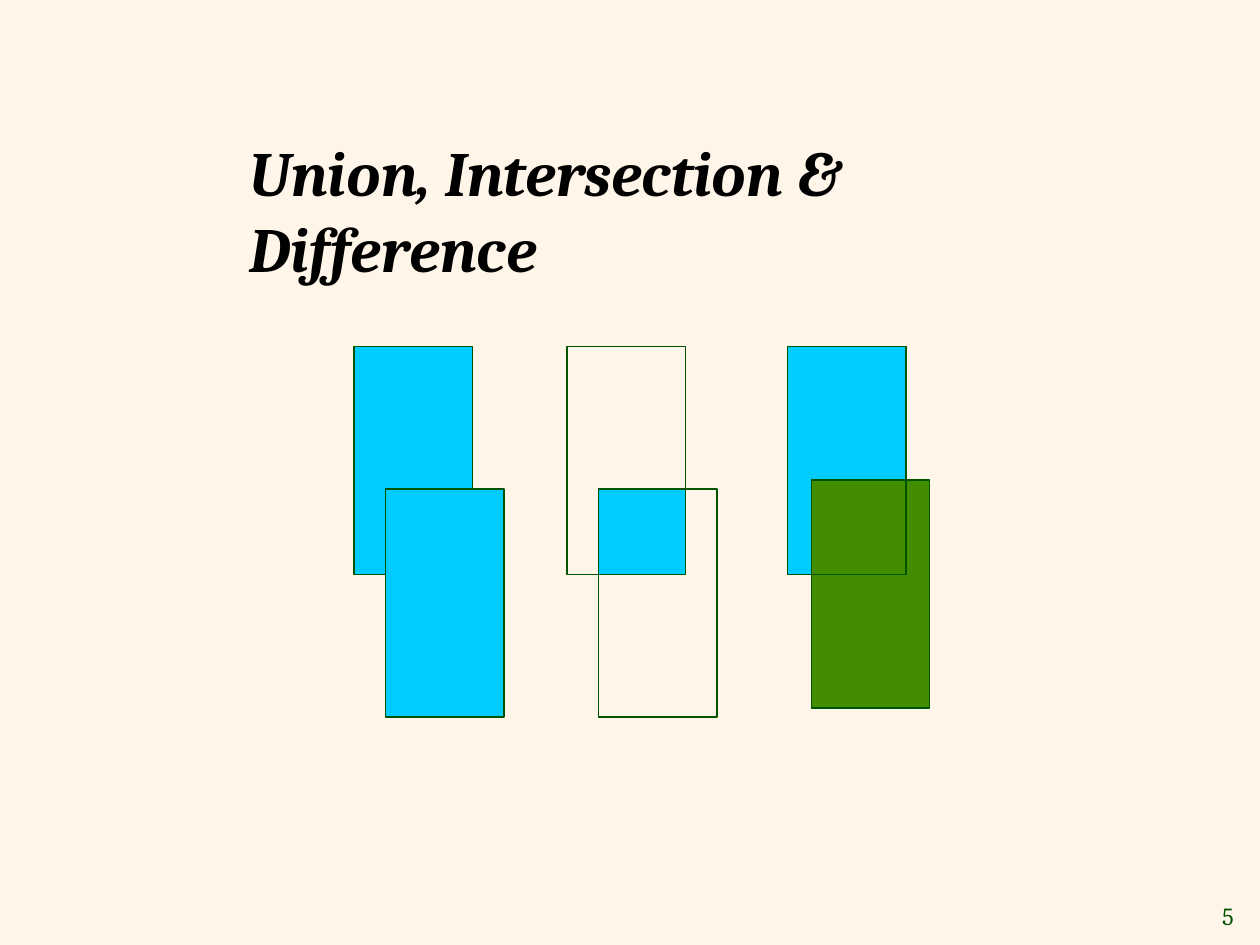
from dataclasses import dataclass

from pptx import Presentation
from pptx.dml.color import RGBColor
from pptx.enum.shapes import MSO_SHAPE
from pptx.enum.text import MSO_ANCHOR, PP_ALIGN
from pptx.util import Inches, Pt

RECTANGLE = MSO_SHAPE.RECTANGLE
MIDDLE = MSO_ANCHOR.MIDDLE
LEFT, RIGHT = PP_ALIGN.LEFT, PP_ALIGN.RIGHT
TITLE_ONLY = 5


@dataclass(frozen=True)
class Theme:
    """Colours, font and sizes of the slide."""
    background: RGBColor = RGBColor.from_string("FFF6E9")
    title: RGBColor = RGBColor.from_string("000000")
    outline: RGBColor = RGBColor.from_string("005400")
    result: RGBColor = RGBColor.from_string("00CCFF")
    removed: RGBColor = RGBColor.from_string("438E00")
    font: str = "Cambria"
    title_size: Pt = Pt(36)
    number_size: Pt = Pt(14)
    line_width: Pt = Pt(0.75)


THEME = Theme()


def write_text(shape, text, size, color, align, bold=False):
    """Write one paragraph, middle anchored; bold text is also italic."""
    frame = shape.text_frame
    frame.vertical_anchor = MIDDLE
    frame.text = text
    para = frame.paragraphs[0]
    para.alignment = align
    para.font.name = THEME.font
    para.font.size = size
    para.font.bold = para.font.italic = bold
    para.font.color.rgb = color
    return frame


def add_title(page, left, top, width, height):
    """Place and format the title placeholder."""
    title = page.shapes.title
    title.left, title.top = Inches(left), Inches(top)
    title.width, title.height = Inches(width), Inches(height)
    frame = write_text(title, "Union, Intersection & Difference",
                       THEME.title_size, THEME.title, LEFT, bold=True)
    frame.word_wrap = True


def add_page_number(page, left, top, width, height):
    """Add the slide number in the corner."""
    box = page.shapes.add_textbox(Inches(left), Inches(top), Inches(width), Inches(height))
    frame = write_text(box, "5", THEME.number_size, THEME.outline, RIGHT)
    frame.word_wrap = False


def add_rectangle(page, left, top, width, height, fill=None):
    """Add an outlined rectangle, hollow when no fill is given."""
    box = page.shapes.add_shape(RECTANGLE, Inches(left), Inches(top),
                                Inches(width), Inches(height))
    box.shadow.inherit = False
    if fill is None:
        box.fill.background()
    else:
        box.fill.solid()
        box.fill.fore_color.rgb = fill
    box.line.color.rgb = THEME.outline
    box.line.width = THEME.line_width


def add_set_pair(page, left, top, width, height, shift, first=None, second=None):
    """Add two overlapping sets and return the box of their overlap."""
    across, down = shift
    add_rectangle(page, left, top, width, height, first)
    add_rectangle(page, left + across, top + down, width, height, second)
    return left + across, top + down, width - across, height - down


def add_set_diagrams(page, top, width, height):
    """Draw union, intersection and difference from left to right."""
    shift = (0.25, 1.13)
    add_set_pair(page, 2.81, top, width, height, shift, THEME.result, THEME.result)
    overlap = add_set_pair(page, 4.5, top, width, height, shift)
    add_rectangle(page, *overlap, THEME.result)
    overlap = add_set_pair(page, 6.25, top, width, height, (0.19, 1.06),
                           THEME.result, THEME.removed)
    add_rectangle(page, *overlap)


def main():
    """Build the slide and save it."""
    deck = Presentation()
    deck.slide_width, deck.slide_height = Inches(10), Inches(7.5)
    page = deck.slides.add_slide(deck.slide_layouts[TITLE_ONLY])
    page.background.fill.solid()
    page.background.fill.fore_color.rgb = THEME.background
    add_page_number(page, 9.45, 7.1, 0.44, 0.33)
    add_title(page, 1.88, 1.02, 6.7, 1.28)
    add_set_diagrams(page, 2.75, 0.94, 1.81)
    deck.save("out.pptx")


if __name__ == "__main__":
    main()
